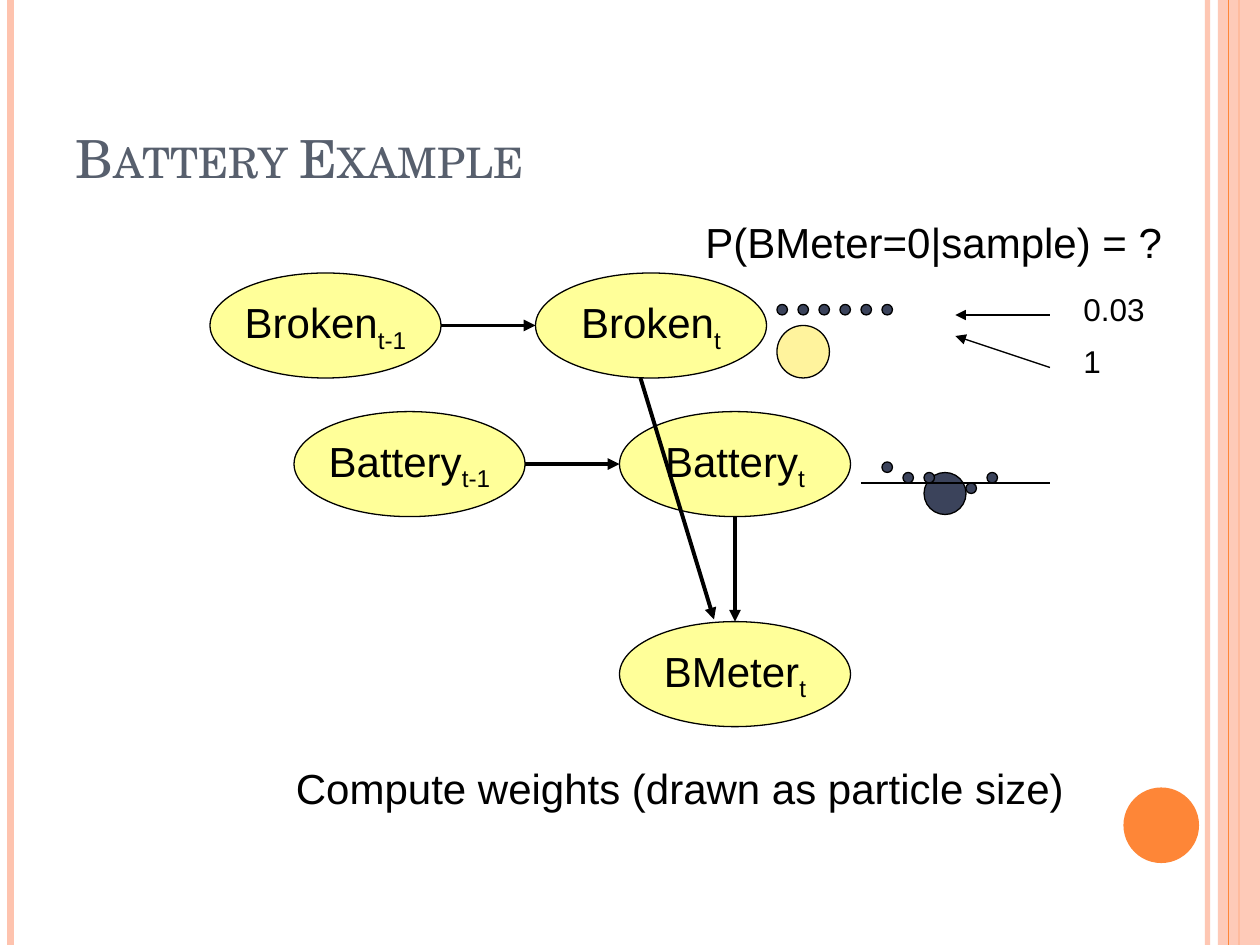
from dataclasses import dataclass

from lxml.etree import SubElement
from pptx import Presentation
from pptx.dml.color import RGBColor
from pptx.enum.shapes import MSO_CONNECTOR as Connector, MSO_SHAPE as Preset
from pptx.enum.text import MSO_ANCHOR as Anchor, MSO_AUTO_SIZE as AutoSize, PP_ALIGN as Align
from pptx.oxml.ns import qn
from pptx.util import Emu, Pt

SCALE = 7620
COLORS = {
    "peach": "FEC3AE", "orange": "FE8637", "navy": "3B435B", "cream": "FFF39D",
    "yellow": "FFFF99", "black": "000000", "slate": "575F6D",
}


@dataclass(frozen=True)
class Node:
    name: str
    index: str
    left: int
    top: int
    width: int = 220
    height: int = 100


@dataclass(frozen=True)
class Circle:
    left: int
    top: int
    size: int = 10
    color: str = "navy"


@dataclass(frozen=True)
class Stroke:
    x1: int
    y1: int
    x2: int
    y2: int
    weight: float = 0.75
    color: str = "black"
    arrow: bool = False
    alpha: int = 100


@dataclass(frozen=True)
class Label:
    text: str
    left: int
    top: int
    width: int
    height: int
    size: int


def px(value: int) -> Emu:
    return Emu(value * SCALE)


def rgb(name: str) -> RGBColor:
    return RGBColor.from_string(COLORS[name])


def set_alpha(solid_fill, percent: int) -> None:
    SubElement(solid_fill[0], qn("a:alpha"), val=str(percent * 1000))


def add_span(para, text: str, size: int, color: str = "black", font: str = "Arial"):
    span = para.add_run()
    span.text = text
    span.font.name = font
    span.font.size = Pt(size)
    span.font.color.rgb = rgb(color)
    return span


def draw_shape(page, preset, left: int, top: int, width: int, height: int,
               color: str, outlined: bool = True):
    shape = page.shapes.add_shape(preset, px(left), px(top), px(width), px(height))
    shape.shadow.inherit = False
    shape.fill.solid()
    shape.fill.fore_color.rgb = rgb(color)
    if outlined:
        shape.line.color.rgb = rgb("black")
        shape.line.width = Pt(0.75)
    else:
        shape.line.fill.background()
    return shape


def draw_circle(page, circle: Circle, outlined: bool = True) -> None:
    draw_shape(page, Preset.OVAL, circle.left, circle.top, circle.size, circle.size,
               circle.color, outlined)


def draw_node(page, node: Node) -> None:
    oval = draw_shape(page, Preset.OVAL, node.left, node.top, node.width, node.height, "yellow")
    frame = oval.text_frame
    frame.word_wrap = False
    frame.vertical_anchor = Anchor.MIDDLE
    para = frame.paragraphs[0]
    para.alignment = Align.CENTER
    add_span(para, node.name, 24)
    subscript = add_span(para, node.index, 24)
    subscript.font._element.set("baseline", "-25000")


def draw_stroke(page, stroke: Stroke) -> None:
    line = page.shapes.add_connector(Connector.STRAIGHT, px(stroke.x1), px(stroke.y1),
                                     px(stroke.x2), px(stroke.y2))
    line.line.color.rgb = rgb(stroke.color)
    line.line.width = Pt(stroke.weight)
    properties = line._element.spPr
    outline = properties.find(qn("a:ln"))
    if stroke.alpha < 100:
        set_alpha(outline.find(qn("a:solidFill")), stroke.alpha)
    if stroke.arrow:
        SubElement(outline, qn("a:tailEnd"), type="triangle")
    SubElement(properties, qn("a:effectLst"))


def draw_label(page, label: Label) -> None:
    box = page.shapes.add_textbox(px(label.left), px(label.top), px(label.width), px(label.height))
    frame = box.text_frame
    frame.word_wrap = True
    frame.auto_size = AutoSize.SHAPE_TO_FIT_TEXT
    add_span(frame.paragraphs[0], label.text, label.size)


def draw_title(page, text: str) -> None:
    title = page.shapes.title
    title.left, title.top, title.width, title.height = px(60), px(36), px(980), px(150)
    frame = title.text_frame
    frame.auto_size = AutoSize.NONE
    frame.vertical_anchor = Anchor.BOTTOM
    para = frame.paragraphs[0]
    para.alignment = Align.LEFT
    span = add_span(para, text, 30, "slate", "TeX Gyre Schola")
    span.font._element.set("cap", "small")


def draw_frame(page) -> None:
    draw_stroke(page, Stroke(1150, 0, 1150, 900, 3, "peach", alpha=93))
    draw_stroke(page, Stroke(10, 0, 10, 900, 4.5, "peach"))
    draw_stroke(page, Stroke(1180, 0, 1180, 900, 1.5, "orange"))
    band = draw_shape(page, Preset.RECTANGLE, 1160, 0, 40, 900, "peach", False)
    set_alpha(band._element.spPr.find(qn("a:solidFill")), 87)
    draw_stroke(page, Stroke(1170, 0, 1170, 900, 0.75, "orange"))
    draw_circle(page, Circle(1070, 750, 72, "orange"), False)


NODES = [
    Node("BMeter", "t", 590, 592),
    Node("Battery", "t", 590, 392),
    Node("Battery", "t-1", 280, 392),
    Node("Broken", "t-1", 200, 260),
    Node("Broken", "t", 510, 260),
]
BROKEN_PARTICLES = [Circle(740 + 20 * step, 290) for step in range(6)]
BATTERY_PARTICLES = [
    Circle(left, top)
    for left, top in [(840, 440), (860, 450), (880, 450), (920, 460), (940, 450)]
]
PARTICLES = [
    Circle(880, 450, 40),
    *BROKEN_PARTICLES,
    Circle(740, 310, 50, "cream"),
    *BATTERY_PARTICLES,
]
STROKES = [
    Stroke(500, 442, 590, 442, 2.25, arrow=True),
    Stroke(700, 492, 700, 592, 2.25, arrow=True),
    Stroke(610, 360, 680, 590, 2.25, arrow=True),
    Stroke(420, 310, 510, 310, 2.25, arrow=True),
    Stroke(820, 460, 1000, 460),
    Stroke(1000, 300, 910, 300, arrow=True),
    Stroke(1000, 350, 910, 320, arrow=True),
]
LABELS = [
    Label("Compute weights (drawn as particle size)", 270, 720, 820, 60, 24),
    Label("P(BMeter=0|sample) = ?", 660, 200, 470, 60, 24),
    Label("0.03", 1020, 270, 100, 48, 18),
    Label("1", 1020, 320, 100, 48, 18),
]


def main() -> None:
    deck = Presentation()
    deck.slide_width, deck.slide_height = px(1200), px(900)
    page = deck.slides.add_slide(deck.slide_layouts[5])
    draw_frame(page)
    draw_title(page, "Battery Example")
    for node in NODES:
        draw_node(page, node)
    for particle in PARTICLES:
        draw_circle(page, particle)
    for stroke in STROKES:
        draw_stroke(page, stroke)
    for label in LABELS:
        draw_label(page, label)
    deck.save("out.pptx")


if __name__ == "__main__":
    main()
